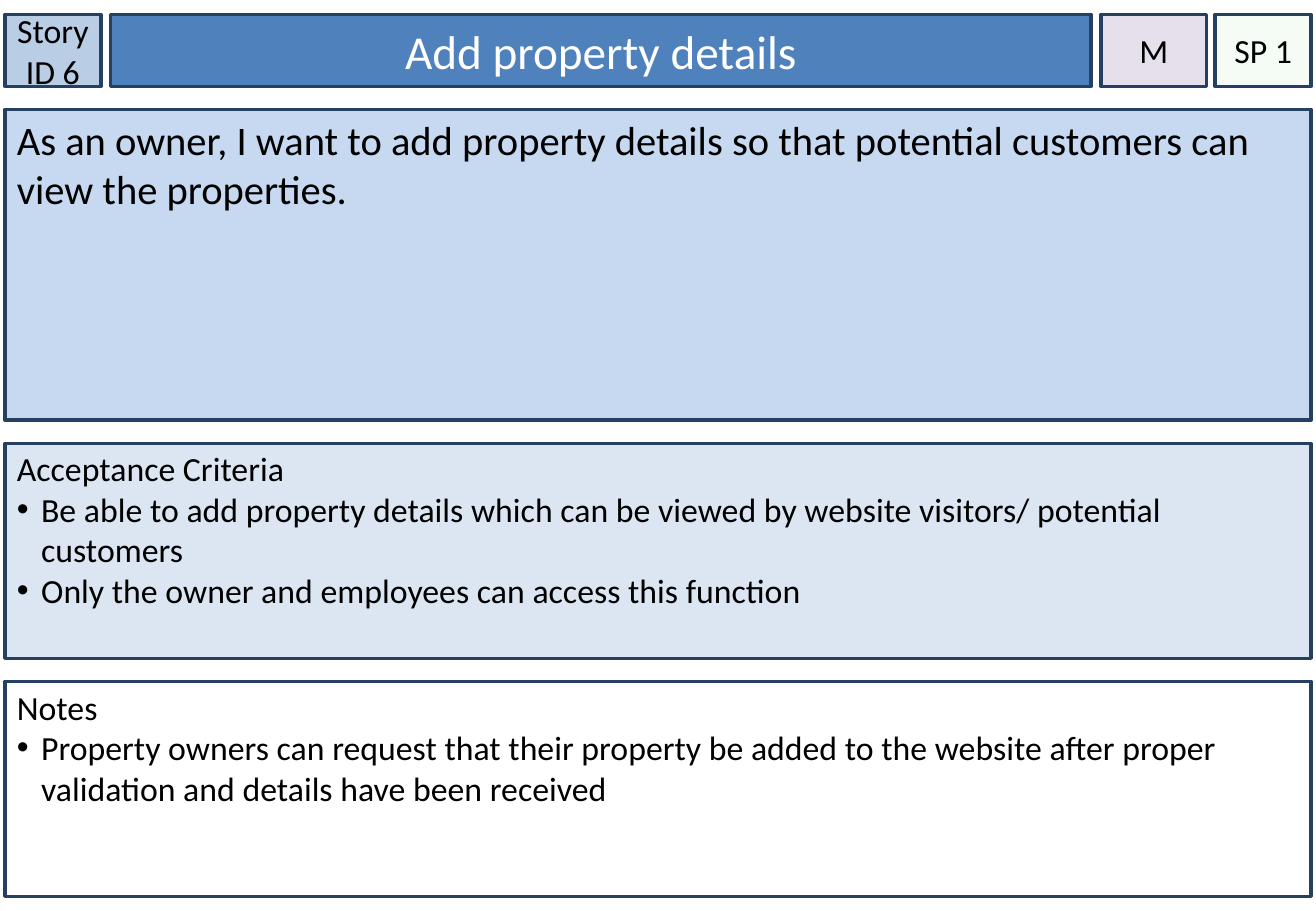
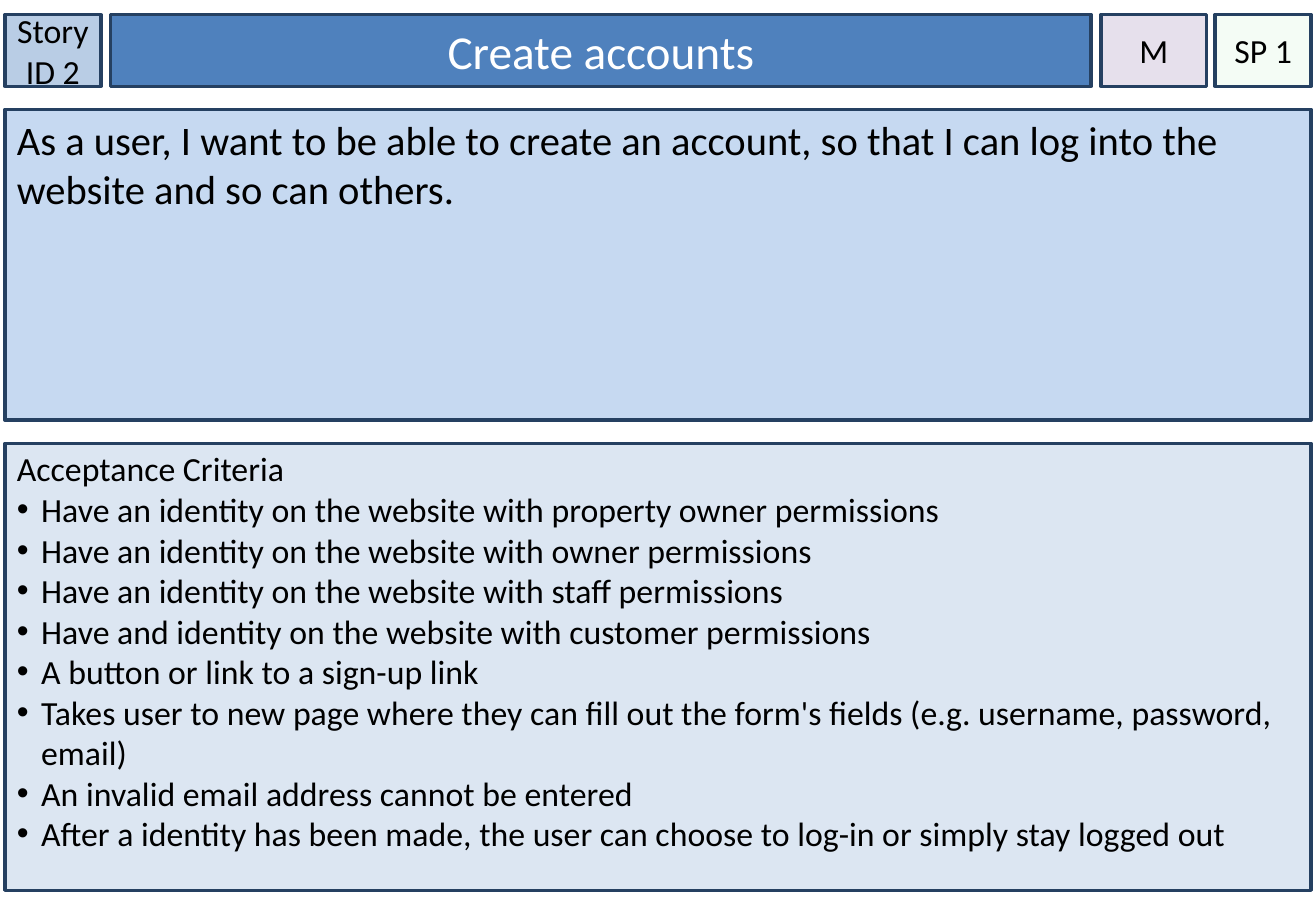
"""Build user story cards, one card a slide."""
from dataclasses import dataclass

from lxml import etree
from pptx import Presentation
from pptx.dml.color import RGBColor
from pptx.enum.shapes import MSO_SHAPE as SHAPE
from pptx.enum.text import MSO_ANCHOR as ANCHOR, PP_ALIGN as ALIGN
from pptx.oxml.ns import qn
from pptx.util import Inches, Pt


@dataclass(frozen=True)
class Theme:
    """Colours, type sizes and measures that the cards share."""
    font: str = "Calibri"
    ink: str = "000000"
    white: str = "FFFFFF"
    outline: str = "254061"
    story_id: str = "B9CDE5"
    title: str = "4F81BD"
    story: str = "C6D9F1"
    criteria: str = "DCE6F2"
    priority: str = "E6E0EC"
    points: str = "CCF0CD"
    title_size: int = 28
    story_size: int = 24
    body_size: int = 20
    line_width: int = 2
    indent: float = 0.2


THEME = Theme()
LEFT, WIDTH = 0.04, 10.75
HEAD_TOP, HEAD_HEIGHT = 0.12, 0.59
STORY_TOP, STORY_HEIGHT = 0.9, 2.56
CRITERIA_TOP, NOTES_TOP, LIST_HEIGHT = 3.65, 5.61, 1.77
TALL_LIST_HEIGHT = 3.68
BADGE_INSETS = (0, 0.05, 0, 0.05)
LIST_INSETS = (0.1, 0.04, 0.1, 0.05)
TEXT_INSETS = (0.1, 0.05, 0.1, 0.05)

STORIES = [
    {
        "id": 6,
        "title": "Add property details",
        "story": "As an owner, I want to add property details so that "
                 "potential customers can view the properties.",
        "criteria": [
            "Be able to add property details which can be viewed by "
            "website visitors/ potential customers",
            "Only the owner and employees can access this function",
        ],
        "notes": [
            "Property owners can request that their property be added to the "
            "website after proper validation and details have been received",
        ],
    },
    {
        "id": 2,
        "title": "Create accounts",
        "story": "As a user, I want to be able to create an account, so that "
                 "I can log into the website and so can others.",
        "criteria": [
            "Have an identity on the website with property owner permissions",
            "Have an identity on the website with owner permissions",
            "Have an identity on the website with staff permissions",
            "Have and identity on the website with customer permissions",
            "A button or link to a sign-up link",
            "Takes user to new page where they can fill out the form's fields "
            "(e.g. username, password, email)",
            "An invalid email address cannot be entered",
            "After a identity has been made, the user can choose to log-in "
            "or simply stay logged out",
        ],
        "notes": [],
    },
]


def set_attrs(obj, values):
    """Set each named attribute of an object."""
    for name, value in values.items():
        setattr(obj, name, value)


def add_box(s, box, fill, insets=TEXT_INSETS, anchor=ANCHOR.TOP, wrap=True):
    """Add an outlined rectangle and return it."""
    sp = s.shapes.add_shape(SHAPE.RECTANGLE, *map(Inches, box))
    sp.shadow.inherit = False
    sp.fill.solid()
    sp.fill.fore_color.rgb = RGBColor.from_string(fill)
    sp.line.color.rgb = RGBColor.from_string(THEME.outline)
    sp.line.width = Pt(THEME.line_width)
    sides = ("margin_left", "margin_top", "margin_right", "margin_bottom")
    set_attrs(sp.text_frame, dict(zip(sides, map(Inches, insets))))
    set_attrs(sp.text_frame, {"vertical_anchor": anchor, "word_wrap": wrap})
    return sp


def write(p, text, size, color=THEME.ink, align=ALIGN.LEFT):
    """Write one run of text into a paragraph."""
    p.alignment = align
    r = p.add_run()
    r.text = text
    set_attrs(r.font, {"size": Pt(size), "name": THEME.font})
    r.font.color.rgb = RGBColor.from_string(color)


def add_bullet(p):
    """Give a paragraph a hanging bullet."""
    ppr = p._p.get_or_add_pPr()
    indent = Inches(THEME.indent)
    ppr.set("marL", str(indent))
    ppr.set("indent", str(-indent))
    etree.SubElement(ppr, qn("a:buFont"), typeface="Arial")
    etree.SubElement(ppr, qn("a:buChar"), char="\u2022")


def set_opacity(sp, percent):
    """Make the solid fill of a shape partly transparent."""
    color = sp._element.spPr.find(qn("a:solidFill"))[0]
    etree.SubElement(color, qn("a:alpha"), val=str(percent * 1000))


def add_head(s, left, width, text, fill, size=THEME.body_size,
             color=THEME.ink, insets=BADGE_INSETS, wrap=True):
    """Add one centred box of the top row and return it."""
    box = (left, HEAD_TOP, width, HEAD_HEIGHT)
    sp = add_box(s, box, fill, insets, ANCHOR.MIDDLE, wrap)
    write(sp.text_frame.paragraphs[0], text, size, color, ALIGN.CENTER)
    return sp


def add_list(s, top, height, heading, items, fill):
    """Add a full-width box with a heading and bullets."""
    tf = add_box(s, (LEFT, top, WIDTH, height), fill, LIST_INSETS).text_frame
    write(tf.paragraphs[0], heading, THEME.body_size)
    for item in items:
        p = tf.add_paragraph()
        write(p, item, THEME.body_size)
        add_bullet(p)


def add_card(prs, card):
    """Add the slide of one user story."""
    s = prs.slides.add_slide(prs.slide_layouts[6])
    add_head(s, LEFT, 0.79, f"Story ID {card['id']}", THEME.story_id)
    add_head(s, 0.91, 8.07, card["title"], THEME.title, THEME.title_size,
             THEME.white, TEXT_INSETS)
    story = add_box(s, (LEFT, STORY_TOP, WIDTH, STORY_HEIGHT), THEME.story)
    write(story.text_frame.paragraphs[0], card["story"], THEME.story_size)
    height = LIST_HEIGHT if card["notes"] else TALL_LIST_HEIGHT
    add_list(s, CRITERIA_TOP, height, "Acceptance Criteria",
             card["criteria"], THEME.criteria)
    set_opacity(add_head(s, 10, 0.79, "SP 1", THEME.points), 20)
    add_head(s, 9.06, 0.87, "M", THEME.priority, wrap=False)
    if card["notes"]:
        add_list(s, NOTES_TOP, LIST_HEIGHT, "Notes", card["notes"],
                 THEME.white)


def main():
    """Build and save the deck."""
    prs = Presentation()
    set_attrs(prs, {"slide_width": Inches(10.83), "slide_height": Inches(7.5)})
    for card in STORIES:
        add_card(prs, card)
    prs.save("out.pptx")


main()
